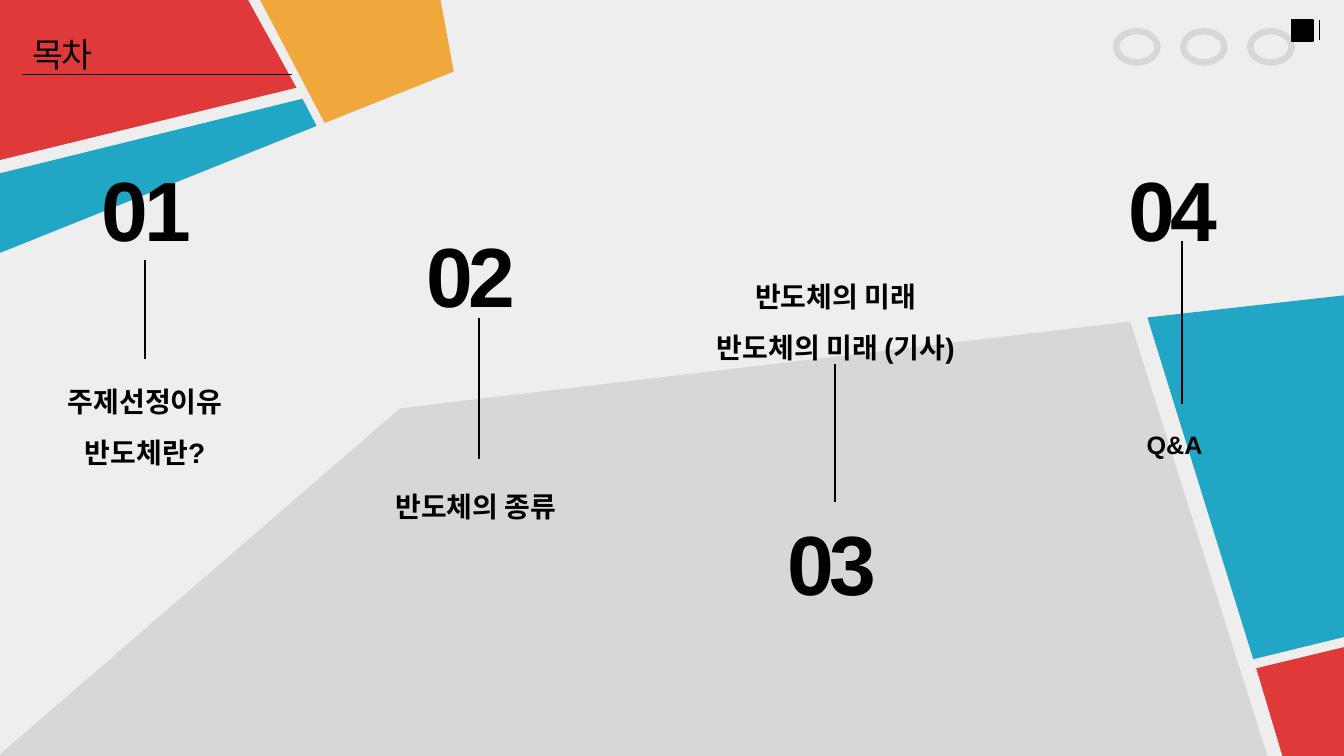
from dataclasses import dataclass

from lxml import etree
from pptx import Presentation
from pptx.dml.color import RGBColor
from pptx.enum.shapes import MSO_CONNECTOR, MSO_SHAPE
from pptx.enum.text import MSO_ANCHOR, MSO_AUTO_SIZE, PP_ALIGN
from pptx.oxml.ns import qn
from pptx.util import Inches, Pt

STRAIGHT = MSO_CONNECTOR.STRAIGHT
OVAL, RECT = MSO_SHAPE.OVAL, MSO_SHAPE.RECTANGLE
TOP, MIDDLE = MSO_ANCHOR.TOP, MSO_ANCHOR.MIDDLE
LEFT, CENTER = PP_ALIGN.LEFT, PP_ALIGN.CENTER
TITLE_ONLY = 5


@dataclass(frozen=True)
class Theme:
    background: str = "EEEEEE"
    red: str = "DF3939"
    blue: str = "21A6C5"
    orange: str = "F0A73C"
    grey: str = "C1C1C1"
    ink: str = "000000"
    latin: str = "Arial"
    korean: str = "Noto Sans CJK KR"
    title_size: int = 24
    number_size: int = 60
    label_size: int = 20
    small_label_size: int = 18


THEME = Theme()

# Fill, opacity in percent, corner points
PANELS = [
    (THEME.red, 100, [(13.33, 6.42), (13.33, 7.5), (12.72, 7.5), (12.46, 6.63)]),
    (THEME.blue, 100, [(11.38, 3.15), (13.33, 2.93), (13.33, 6.32), (12.43, 6.54)]),
    (THEME.grey, 50, [(-0.02, 7.5), (3.97, 4.05), (11.21, 3.19), (12.57, 7.5)]),
    (THEME.orange, 100, [(2.58, 0), (3.22, 1.22), (4.5, 0.71), (4.37, 0)]),
    (THEME.red, 100, [(0, 0), (-0.01, 1.59), (2.94, 0.87), (2.46, 0)]),
    (THEME.blue, 100, [(3, 0.98), (3.14, 1.25), (0, 2.51), (0, 1.72)]),
]

# Number, its left and top; line x, top and bottom; label box, size and lines
CHAPTERS = [
    ("01", (0.91, 1.46), (1.44, 2.58, 3.56), (-0.24, 3.6, 3.36, 1.05),
     THEME.label_size, ["주제선정이유", "반도체란?"]),
    ("02", (4.13, 2.11), (4.75, 3.15, 4.55), (3.5, 4.64, 2.44, 0.54),
     THEME.label_size, ["반도체의 종류"]),
    ("03", (7.71, 4.97), (8.28, 3.61, 4.98), (6.61, 2.56, 3.36, 1.11),
     THEME.label_size, ["반도체의 미래", "반도체의 미래 (기사)"]),
    ("04", (11.09, 1.46), (11.72, 2.39, 4.01), (9.97, 4.06, 3.36, 0.5),
     THEME.small_label_size, ["Q&A"]),
]


def rgb(color):
    return RGBColor.from_string(color)


def paint(fill, color, opacity=100):
    fill.solid()
    fill.fore_color.rgb = rgb(color)
    if opacity < 100:
        for clr in fill._xPr.iter(qn("a:srgbClr")):
            etree.SubElement(clr, qn("a:alpha"), val=str(opacity * 1000))


def add_panel(s, color, opacity, corners):
    points = [(Inches(x), Inches(y)) for x, y in corners]
    builder = s.shapes.build_freeform(*points[0], scale=1.0)
    builder.add_line_segments(points[1:], close=True)
    sp = builder.convert_to_shape()
    sp.shadow.inherit = False
    paint(sp.fill, color, opacity)
    sp.line.fill.background()


def add_ring(s, left):
    sp = s.shapes.add_shape(OVAL, Inches(left), Inches(0.31), Inches(0.41), Inches(0.31))
    sp.shadow.inherit = False
    sp.fill.background()
    sp.line.width = Pt(4.5)
    paint(sp.line.fill, THEME.grey, 50)


def add_square(s):
    sp = s.shapes.add_shape(RECT, Inches(12.81), Inches(0.2), Inches(0.21), Inches(0.21))
    sp.shadow.inherit = False
    paint(sp.fill, THEME.ink)
    sp.line.color.rgb = rgb(THEME.ink)
    sp.line.width = Pt(1.25)


def add_line(s, x1, y1, x2, y2, width):
    line = s.shapes.add_connector(STRAIGHT, Inches(x1), Inches(y1), Inches(x2), Inches(y2))
    line.line.color.rgb = rgb(THEME.ink)
    line.line.width = Pt(width)
    etree.SubElement(line._element.spPr, qn("a:effectLst"))


def write(sp, lines, size, font, bold=False, align=LEFT, anchor=TOP,
          line_spacing=1.0, tracking=0):
    """Fill a shape with one paragraph per line; tracking is in points."""
    tf = sp.text_frame
    tf.word_wrap = True
    tf.auto_size = MSO_AUTO_SIZE.NONE
    tf.vertical_anchor = anchor
    for i, text in enumerate(lines):
        p = tf.add_paragraph() if i else tf.paragraphs[0]
        p.alignment = align
        p.line_spacing = line_spacing
        r = p.add_run()
        r.text = text
        r.font.size = Pt(size)
        r.font.bold = bold
        r.font.name = font
        r.font.color.rgb = rgb(THEME.ink)
        rPr = r._r.get_or_add_rPr()
        etree.SubElement(rPr, qn("a:ea"), typeface=THEME.korean)
        if tracking:
            rPr.set("spc", str(int(tracking * 100)))


def add_text(s, box, lines, size, **style):
    sp = s.shapes.add_textbox(*map(Inches, box))
    write(sp, lines, size, THEME.latin, bold=True, **style)


def add_title(s, text):
    title = s.shapes.title
    title.left, title.top = Inches(0.22), Inches(0.29)
    title.width, title.height = Inches(3.12), Inches(0.5)
    write(title, [text], THEME.title_size, THEME.korean, tracking=-1.5)


def add_chapter(s, number, corner, line, box, size, lines):
    x, top, bottom = line
    add_text(s, (*corner, 1.48, 1.21), [number], THEME.number_size,
             anchor=MIDDLE, tracking=-3)
    add_line(s, x, top, x, bottom, 1.25)
    add_text(s, box, lines, size, align=CENTER, line_spacing=1.5)


def main():
    prs = Presentation()
    prs.slide_width, prs.slide_height = Inches(13.33), Inches(7.5)
    s = prs.slides.add_slide(prs.slide_layouts[TITLE_ONLY])
    paint(s.background.fill, THEME.background)

    for panel in PANELS:
        add_panel(s, *panel)
    for i in range(3):
        add_ring(s, 11.07 + 0.665 * i)

    title = s.shapes.title._element
    s.shapes._spTree.append(title)  # bring the title in front of the panels
    add_title(s, "목차")
    add_line(s, 0.22, 0.74, 2.9, 0.74, 0.75)
    add_square(s)
    add_line(s, 13.09, 0.2, 13.09, 0.4, 0.75)

    for chapter in CHAPTERS:
        add_chapter(s, *chapter)
    prs.save("out.pptx")


if __name__ == "__main__":
    main()
